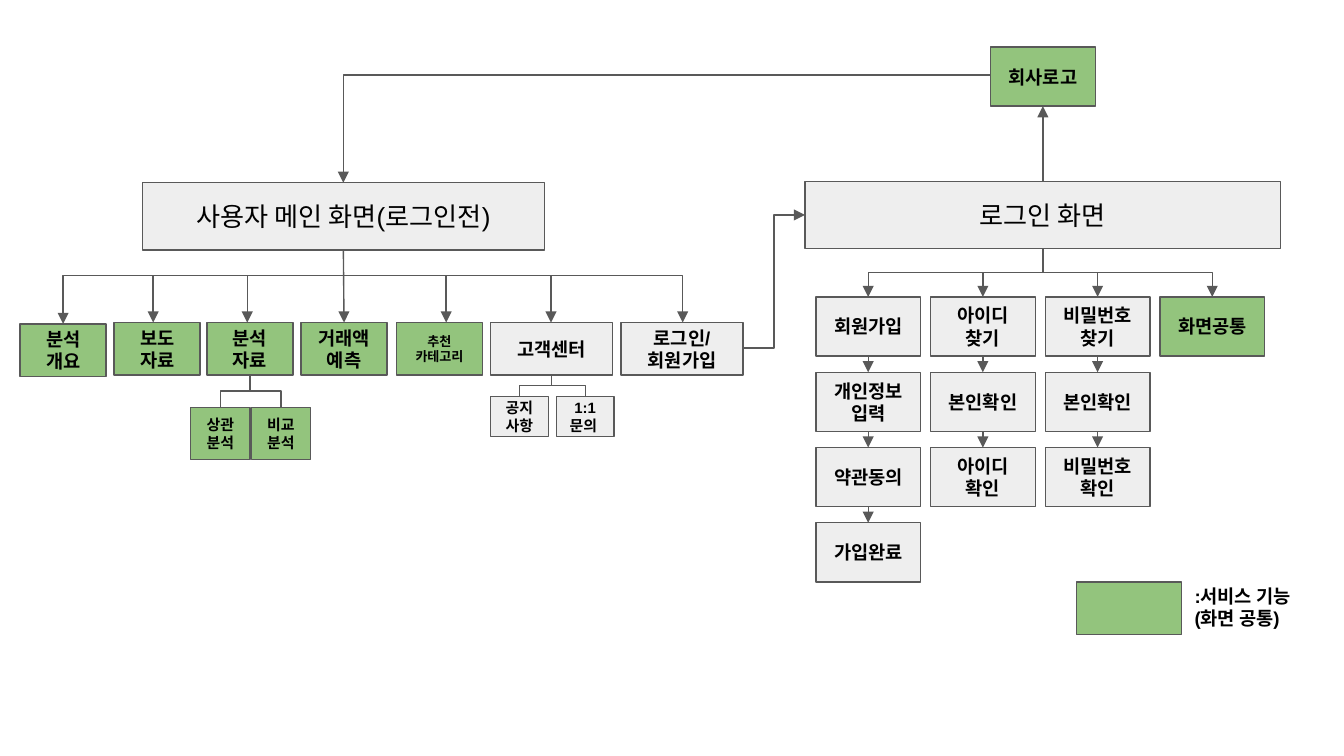
from dataclasses import dataclass
from pptx import Presentation
from pptx.dml.color import RGBColor
from pptx.enum.shapes import MSO_CONNECTOR as CONN, MSO_SHAPE as SHAPE
from pptx.enum.text import MSO_ANCHOR as ANCHOR, MSO_AUTO_SIZE as AUTO, PP_ALIGN as ALIGN
from pptx.oxml.ns import qn
from pptx.util import Inches, Pt
from lxml.etree import SubElement


@dataclass(frozen=True)
class Theme:
    """Colours, font and type sizes of the slide."""
    page: str = "EEEEEE"
    service: str = "93C47D"
    line: str = "595959"
    text: str = "000000"
    font: str = "Arial"
    title: int = 14
    body: int = 10
    small: int = 8
    tiny: int = 7
    stroke: float = 0.75


T = Theme()

# Text, left, top, width, height, fill, type size; arrow x
MENU = [
    ("분석\n개요", (0.15, 2.41, 0.64, 0.39), T.service, T.body, 0.47),
    ("보도\n자료", (0.85, 2.4, 0.64, 0.39), T.service, T.body, 1.14),
    ("분석\n자료", (1.54, 2.4, 0.64, 0.39), T.service, T.body, 1.84),
    ("거래액\n예측", (2.24, 2.4, 0.64, 0.39), T.service, T.body, 2.56),
    ("추천\n카테고리", (2.95, 2.4, 0.64, 0.39), T.service, T.tiny, 3.32),
    ("고객센터", (3.65, 2.4, 0.91, 0.39), T.page, T.body, 4.1),
    ("로그인/\n회원가입", (4.62, 2.4, 0.91, 0.39), T.page, T.body, 5.08),
]
# Menu index, fill, then the boxes below it with the alignment of their last line
SUBMENUS = [
    (2, T.service, [("상관분석", (1.42, 3.03, 0.44, 0.39), ALIGN.CENTER),
                    ("비교분석", (1.87, 3.03, 0.44, 0.39), ALIGN.CENTER)]),
    (5, T.page, [("공지사항", (3.65, 2.95, 0.43, 0.3), ALIGN.CENTER),
                 ("1:1\n문의", (4.14, 2.95, 0.43, 0.3), ALIGN.LEFT)]),
]
LOGIN_FLOWS = [
    (T.page, ["회원가입", "개인정보입력", "약관동의", "가입완료"]),
    (T.page, ["아이디\n찾기", "본인확인", "아이디\n확인"]),
    (T.page, ["비밀번호찾기", "본인확인", "비밀번호\n확인"]),
    (T.service, ["화면공통"]),
]
MAIN = (1.06, 1.36, 2.99, 0.5)
LOGIN = (5.99, 1.35, 3.54, 0.5)
LOGO = (7.37, 0.35, 0.78, 0.44)
FLOW_LEFT, FLOW_TOP, FLOW_W, FLOW_H = 6.07, 2.21, 0.78, 0.44
COL_STEP, ROW_STEP = (8.63 - 6.07) / 3, 0.56
BUS_Y = 2.05


def top(b):
    """Middle of the top edge."""
    return b[0] + b[2] / 2, b[1]


def bottom(b):
    """Middle of the bottom edge."""
    return b[0] + b[2] / 2, b[1] + b[3]


def write(sp, text, size, bold, align):
    """Put text into a shape, one paragraph for each line."""
    tf = sp.text_frame
    tf.word_wrap = True
    tf.margin_left = tf.margin_right = tf.margin_top = tf.margin_bottom = Inches(0.1)
    tf.text = text
    for p in tf.paragraphs:
        p.alignment = align
        p.font.name, p.font.size, p.font.bold = T.font, Pt(size), bold
        p.font.color.rgb = RGBColor.from_string(T.text)


def box(b, fill, text="", size=T.body, bold=True):
    """Draw an outlined rectangle with centred text."""
    sp = s.shapes.add_shape(SHAPE.RECTANGLE, *map(Inches, b))
    sp.shadow.inherit = False
    sp.fill.solid()
    sp.fill.fore_color.rgb = RGBColor.from_string(fill)
    sp.line.color.rgb = RGBColor.from_string(T.line)
    sp.line.width = Pt(T.stroke)
    if text:
        write(sp, text, size, bold, ALIGN.CENTER)
        sp.text_frame.vertical_anchor = ANCHOR.MIDDLE
    return sp


def link(start, end, kind=CONN.STRAIGHT, arrow=True):
    """Draw a connector, with an arrowhead at its end if wanted."""
    c = s.shapes.add_connector(kind, *map(Inches, (*start, *end)))
    c.line.color.rgb = RGBColor.from_string(T.line)
    c.line.width = Pt(T.stroke)
    spPr = c._element.spPr
    if arrow:
        SubElement(spPr.get_or_add_ln(), qn("a:tailEnd"), type="triangle")
    SubElement(spPr, qn("a:effectLst"))
    return c


def branch(start, end, arrow=True, bend=0.5):
    """Draw an elbow that leaves downwards, turning at the given share of its height."""
    (x1, y1), (x2, y2) = start, end
    cx, cy = (x1 + x2) / 2, (y1 + y2) / 2
    half_w, half_h = (y2 - y1) / 2, abs(x2 - x1) / 2
    turn = 90
    if x2 > x1:
        turn, half_w = 270, -half_w
    c = link((cx - half_w, cy - half_h), (cx + half_w, cy + half_h), CONN.ELBOW, arrow)
    spPr = c._element.spPr
    spPr.find(qn("a:xfrm")).set("rot", str(turn * 60000))
    guides = spPr.find(qn("a:prstGeom")).find(qn("a:avLst"))
    SubElement(guides, qn("a:gd"), name="adj1", fmla=f"val {round(bend * 100000)}")


prs = Presentation()
prs.slide_width = Inches(10)
prs.slide_height = prs.slide_width * 9 // 16
s = prs.slides.add_slide(prs.slide_layouts[6])

box(MAIN, T.page, "사용자 메인 화면(로그인전)", T.title, False)
box(LOGIN, T.page, "로그인 화면", T.title, False)
box(LOGO, T.service, "회사로고")

main_x, main_y = bottom(MAIN)
for i, (text, b, fill, size, x) in enumerate(MENU):
    box(b, fill, text, size)
    if i in (0, len(MENU) - 1):
        branch((main_x, main_y), (x, b[1]), bend=(BUS_Y - main_y) / (b[1] - main_y))
    else:
        over = b[0] < main_x < b[0] + b[2]
        link((main_x, main_y) if over else (x, BUS_Y), (x, b[1]))

for i, fill, items in SUBMENUS:
    for text, b, last_align in items:
        sp = box(b, fill, text, T.small)
        sp.text_frame.paragraphs[-1].alignment = last_align
        branch(bottom(MENU[i][1]), top(b), arrow=False)

for col, (fill, steps) in enumerate(LOGIN_FLOWS):
    start, connect = bottom(LOGIN), branch
    for row, text in enumerate(steps):
        b = (FLOW_LEFT + col * COL_STEP, FLOW_TOP + row * ROW_STEP, FLOW_W, FLOW_H)
        box(b, fill, text)
        connect(start, top(b))
        start, connect = bottom(b), link

link(top(LOGIN), bottom(LOGO))
to_main = link((LOGO[0], 0.56), top(MAIN), CONN.ELBOW)
to_main._element.spPr.find(qn("a:prstGeom")).set("prst", "bentConnector2")
link((5.53, 2.59), (LOGIN[0], 1.6), CONN.ELBOW)

box((8.01, 4.33, 0.78, 0.39), T.service)
legend = s.shapes.add_textbox(*map(Inches, (8.79, 4.25, 1.36, 0.54)))
write(legend, ":서비스 기능\n(화면 공통)", T.body, True, ALIGN.LEFT)
legend.text_frame.auto_size = AUTO.SHAPE_TO_FIT_TEXT

prs.save("out.pptx")
